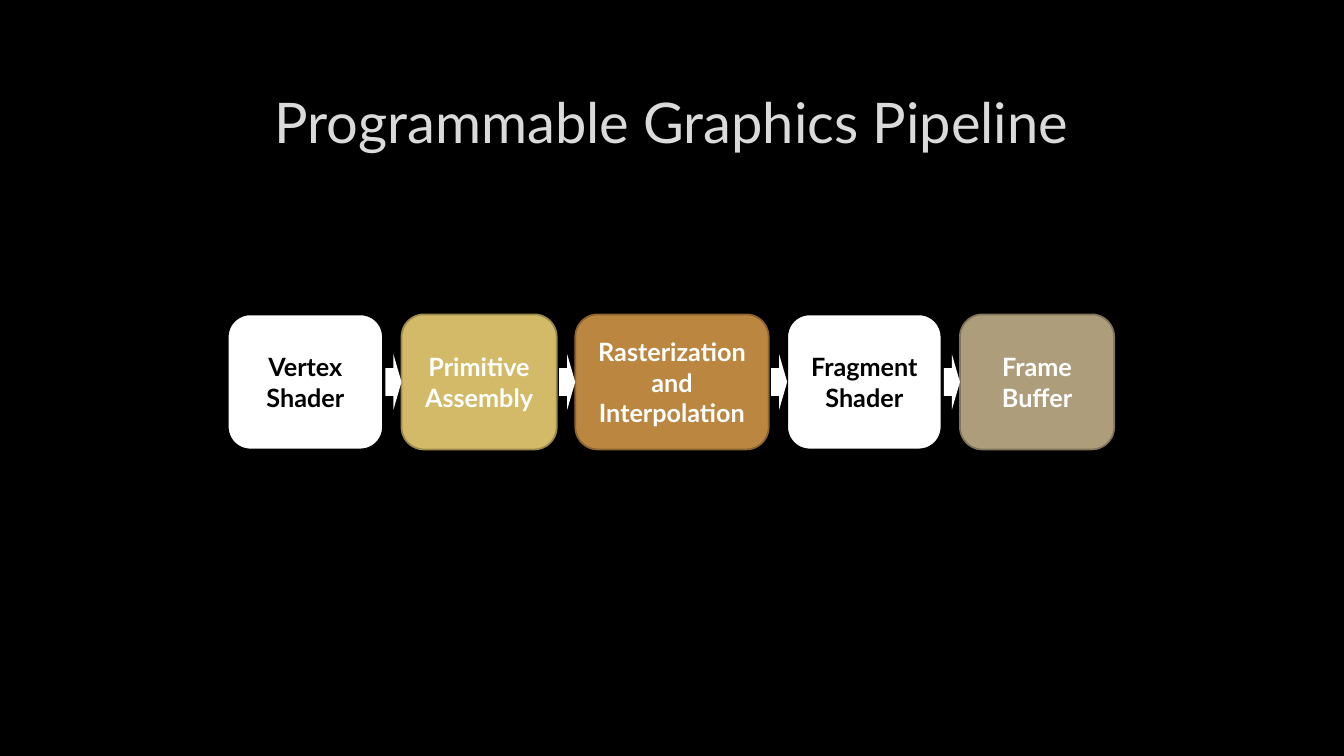
"""Build the programmable graphics pipeline slide."""
import pptx
import pptx.util
import pptx.dml.color
import pptx.enum.shapes
import pptx.enum.text

Pt = pptx.util.Pt
RGB = pptx.dml.color.RGBColor.from_string
kinds = pptx.enum.shapes.MSO_SHAPE
hues = {
    "black": "000000", "white": "FFFFFF", "title": "DADADA",
    "gold": "D3BA68", "olive": "9C8A4D",
    "copper": "BB8640", "brown": "8A632F",
    "sand": "AD9D7B", "taupe": "80745B",
}


def write(shape, text, size=18, hue="white", bold=False):
    frame = shape.text_frame
    frame.word_wrap = True
    frame.auto_size = pptx.enum.text.MSO_AUTO_SIZE.NONE
    frame.vertical_anchor = pptx.enum.text.MSO_ANCHOR.MIDDLE
    para = frame.paragraphs[0]
    para.alignment = pptx.enum.text.PP_ALIGN.CENTER
    run = para.add_run()
    run.text = text
    run.font.name = "Lato"
    run.font.size = Pt(size)
    run.font.bold = bold
    run.font.color.rgb = RGB(hues[hue])


deck = pptx.Presentation()
deck.slide_width, deck.slide_height = Pt(960), Pt(540)
slide = deck.slides.add_slide(deck.slide_layouts[5])
slide.background.fill.solid()
slide.background.fill.fore_color.rgb = RGB(hues["black"])

title = slide.shapes.title
title.left, title.top = Pt(72), Pt(48.2)
title.width, title.height = Pt(815), Pt(76.3)
write(title, "Programmable Graphics Pipeline", size=40, hue="title")

stages = [
    ("Vertex Shader", 110.9, "white", "black", "black"),
    ("Primitive Assembly", 110.9, "gold", "olive", "white"),
    ("Rasterization and Interpolation", 138.2, "copper", "brown", "white"),
    ("Fragment Shader", 110.2, "white", "black", "black"),
    ("Frame Buffer", 110.2, "sand", "taupe", "white"),
]
top, high, gap = 224.6, 96.5, 13.2
tip, rise = 11.5, 39.6
flow = slide.shapes.add_group_shape()
left = 162.7
for place, (label, wide, fill, edge, ink) in enumerate(stages):
    box = flow.shapes.add_shape(
        kinds.ROUNDED_RECTANGLE, Pt(left), Pt(top), Pt(wide), Pt(high))
    box.shadow.inherit = False
    box.fill.solid()
    box.fill.fore_color.rgb = RGB(hues[fill])
    box.line.color.rgb = RGB(hues[edge])
    box.line.width = Pt(1.25)
    write(box, label, hue=ink, bold=True)
    if place:
        arrow = flow.shapes.add_shape(
            kinds.RIGHT_ARROW, Pt(left - tip), Pt(top + (high - rise) / 2),
            Pt(tip), Pt(rise))
        arrow.shadow.inherit = False
        arrow.fill.solid()
        arrow.fill.fore_color.rgb = RGB(hues["white"])
        arrow.line.fill.background()
    left += wide + gap

deck.save("out.pptx")
